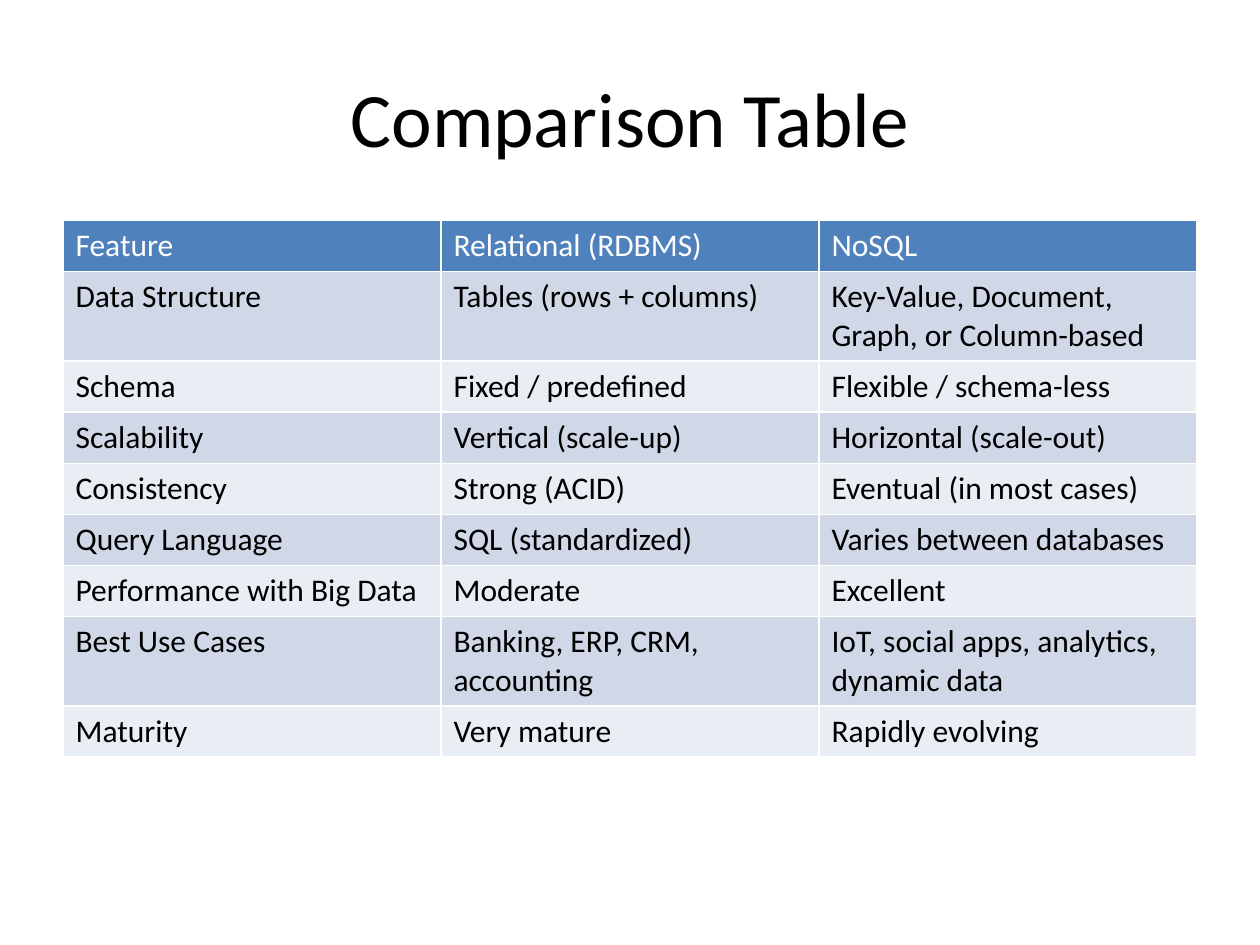
"""Build a slide that compares relational and NoSQL databases in a table."""
import pptx
import pptx.dml.color
import pptx.enum.text
import pptx.util
from pptx.util import Inches

HEADER = ("Feature", "Relational (RDBMS)", "NoSQL")
FEATURES = (
    ("Data Structure", "Tables (rows + columns)", "Key-Value, Document, Graph, or Column-based"),
    ("Schema", "Fixed / predefined", "Flexible / schema-less"),
    ("Scalability", "Vertical (scale-up)", "Horizontal (scale-out)"),
    ("Consistency", "Strong (ACID)", "Eventual (in most cases)"),
    ("Query Language", "SQL (standardized)", "Varies between databases"),
    ("Performance with Big Data", "Moderate", "Excellent"),
    ("Best Use Cases", "Banking, ERP, CRM, accounting", "IoT, social apps, analytics, dynamic data"),
    ("Maturity", "Very mature", "Rapidly evolving"),
)


def color(value):
    return pptx.dml.color.RGBColor.from_string(value)


class SlideBuilder:
    font = "Calibri"
    text_color = "000000"
    header_text_color = "FFFFFF"
    header_fill = "4F81BD"
    band_fills = ("D0D8E8", "E9EDF4")

    def __init__(self, slide):
        self.slide = slide

    def add_run(self, paragraph, text, size, text_color):
        run = paragraph.add_run()
        run.text = text
        run.font.name = self.font
        run.font.size = pptx.util.Pt(size)
        run.font.bold = False
        run.font.color.rgb = color(text_color)

    def add_title(self, text, left, top, width, height):
        title = self.slide.shapes.title
        title.left, title.top, title.width, title.height = left, top, width, height
        title.text_frame.vertical_anchor = pptx.enum.text.MSO_ANCHOR.MIDDLE
        paragraph = title.text_frame.paragraphs[0]
        paragraph.alignment = pptx.enum.text.PP_ALIGN.CENTER
        self.add_run(paragraph, text, 44, self.text_color)

    def add_table(self, header, body, left, top, width, height):
        rows = (header, *body)
        frame = self.slide.shapes.add_table(len(rows), len(header), left, top, width, height)
        for row_index, texts in enumerate(rows):
            frame.table.rows[row_index].height = Inches(0)
            is_header = row_index == 0
            fill = self.header_fill if is_header else self.band_fills[(row_index - 1) % 2]
            text_color = self.header_text_color if is_header else self.text_color
            for column_index, text in enumerate(texts):
                cell = frame.table.cell(row_index, column_index)
                cell.fill.solid()
                cell.fill.fore_color.rgb = color(fill)
                self.add_run(cell.text_frame.paragraphs[0], text, 18, text_color)
        frame.height = height


def main():
    presentation = pptx.Presentation()
    presentation.slide_width = Inches(10)
    presentation.slide_height = Inches(7.5)
    builder = SlideBuilder(presentation.slides.add_slide(presentation.slide_layouts[5]))
    builder.add_title("Comparison Table", Inches(0.5), Inches(0.3), Inches(9), Inches(1.25))
    builder.add_table(HEADER, FEATURES, Inches(0.5), Inches(1.75), Inches(9), Inches(4.94))
    presentation.save("out.pptx")


if __name__ == "__main__":
    main()
